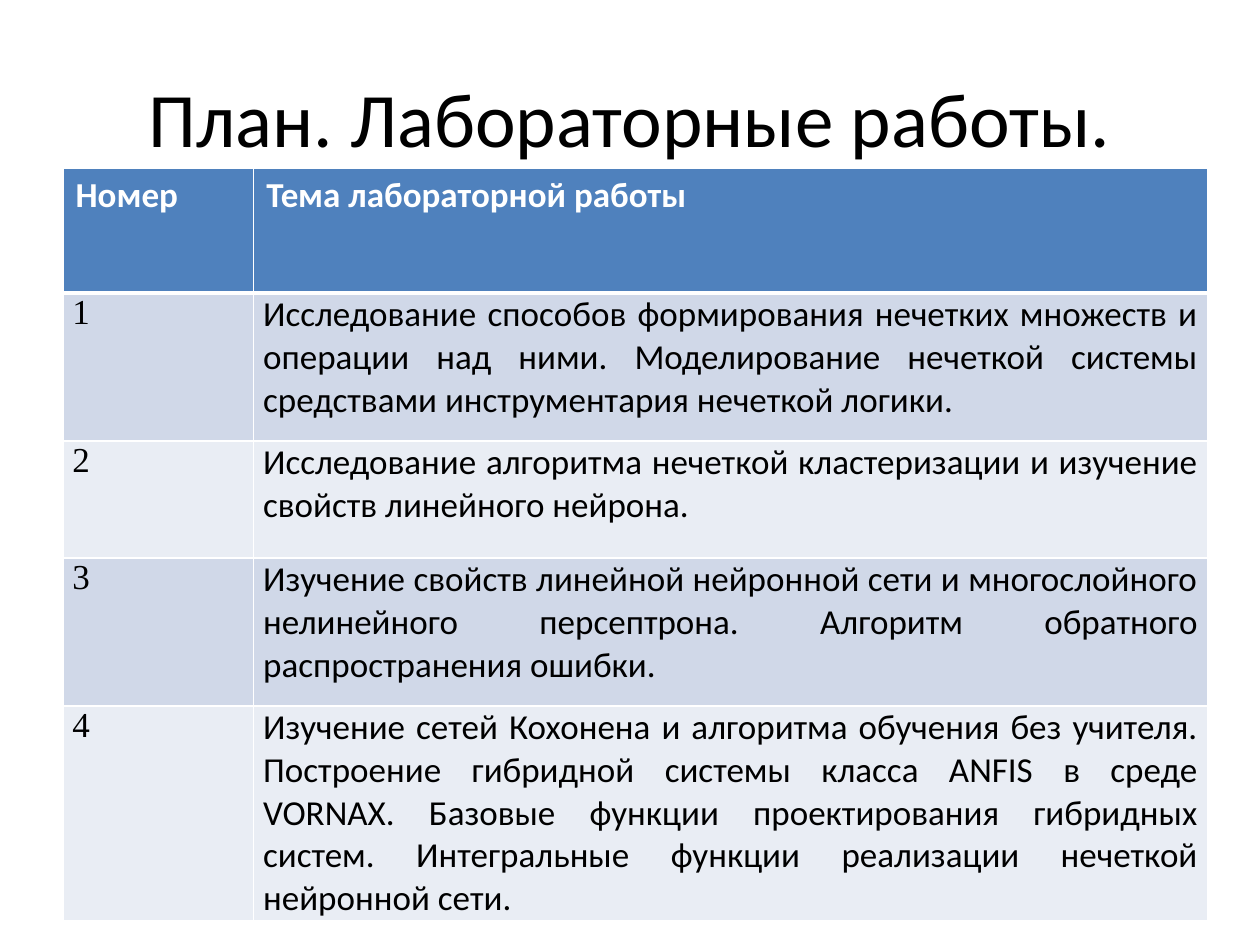
from lxml import etree
from pptx import Presentation
from pptx.dml.color import RGBColor
from pptx.enum.text import MSO_ANCHOR, PP_ALIGN
from pptx.oxml.ns import qn
from pptx.util import Pt

CENTER, JUSTIFY, LEFT = PP_ALIGN.CENTER, PP_ALIGN.JUSTIFY, PP_ALIGN.LEFT
MIDDLE = MSO_ANCHOR.MIDDLE
WHITE = RGBColor(0xFF, 0xFF, 0xFF)
BLACK = RGBColor(0, 0, 0)
HEADER_BLUE = RGBColor(0x4F, 0x81, 0xBD)
BAND_DARK = RGBColor(0xD0, 0xD8, 0xE8)
BAND_LIGHT = RGBColor(0xE9, 0xED, 0xF4)
BODY_FONT, NUMBER_FONT = "Calibri", "Times New Roman"

HEADINGS = ("Номер", "Тема лабораторной работы")
TOPICS = (
    "Исследование способов формирования нечетких множеств и операции над ними. "
    "Моделирование нечеткой системы средствами инструментария нечеткой логики.",
    "Исследование алгоритма нечеткой кластеризации и изучение свойств линейного нейрона.",
    "Изучение свойств линейной нейронной сети и многослойного нелинейного персептрона. "
    "Алгоритм обратного распространения ошибки.",
    "Изучение сетей Кохонена и алгоритма обучения без учителя. Построение гибридной "
    "системы класса ANFIS в среде VORNAX. Базовые функции проектирования гибридных "
    "систем. Интегральные функции реализации нечеткой нейронной сети.",
)
NUMBER_SHARE = 1 / 6
ROW_HEIGHTS = (71.5, 84.5, 67, 84.5, 112)


def style_text(paragraph, size, font_name, color, alignment, bold=False):
    paragraph.alignment = alignment
    font = paragraph.font
    font.size, font.name, font.bold = Pt(size), font_name, bold
    font.color.rgb = color


def set_borders(cell, top, bottom):
    properties = cell._tc.get_or_add_tcPr()
    for side, width in (("L", 1), ("R", 1), ("T", top), ("B", bottom)):
        line = etree.SubElement(properties, qn(f"a:ln{side}"), w=str(Pt(width)))
        fill = etree.SubElement(line, qn("a:solidFill"))
        etree.SubElement(fill, qn("a:srgbClr"), val=str(WHITE))


def fill_cell(cell, text, row, column):
    set_borders(cell, 3 if row == 1 else 1, 3 if row == 0 else 1)
    cell.fill.solid()
    cell.text = text
    paragraph = cell.text_frame.paragraphs[0]
    if row == 0:
        cell.fill.fore_color.rgb = HEADER_BLUE
        style_text(paragraph, 20, BODY_FONT, WHITE, LEFT, bold=True)
        return
    cell.fill.fore_color.rgb = BAND_DARK if row % 2 else BAND_LIGHT
    cell.margin_left = cell.margin_right = Pt(5.4)
    cell.margin_top = cell.margin_bottom = 0
    if column == 0:
        style_text(paragraph, 20, NUMBER_FONT, BLACK, LEFT)
        indent = paragraph._p.get_or_add_pPr()
        indent.set("marL", str(Pt(27)))
        indent.set("indent", str(Pt(-27)))
    else:
        style_text(paragraph, 20, BODY_FONT, BLACK, JUSTIFY)


def place_title(slide, left, top, width, height):
    title = slide.shapes.title
    title.left, title.top = Pt(left), Pt(top)
    title.width, title.height = Pt(width), Pt(height)
    title.text_frame.text = "План. Лабораторные работы."
    title.text_frame.vertical_anchor = MIDDLE
    style_text(title.text_frame.paragraphs[0], 44, BODY_FONT, BLACK, CENTER)


def place_plan(slide, left, top, width):
    rows = [HEADINGS] + [(str(number), topic) for number, topic in enumerate(TOPICS, 1)]
    table = slide.shapes.add_table(
        len(rows), len(HEADINGS), Pt(left), Pt(top), Pt(width), Pt(sum(ROW_HEIGHTS))
    ).table
    table.columns[0].width = Pt(width * NUMBER_SHARE)
    table.columns[1].width = Pt(width * (1 - NUMBER_SHARE))
    for row, (texts, height) in enumerate(zip(rows, ROW_HEIGHTS)):
        table.rows[row].height = Pt(height)
        for column, text in enumerate(texts):
            fill_cell(table.cell(row, column), text, row, column)


def main():
    presentation = Presentation()
    presentation.slide_width, presentation.slide_height = Pt(720), Pt(540)
    slide = presentation.slides.add_slide(presentation.slide_layouts[5])
    place_title(slide, 36, 21.6, 648, 90)
    place_plan(slide, 36, 96, 654)
    presentation.save("out.pptx")


if __name__ == "__main__":
    main()
